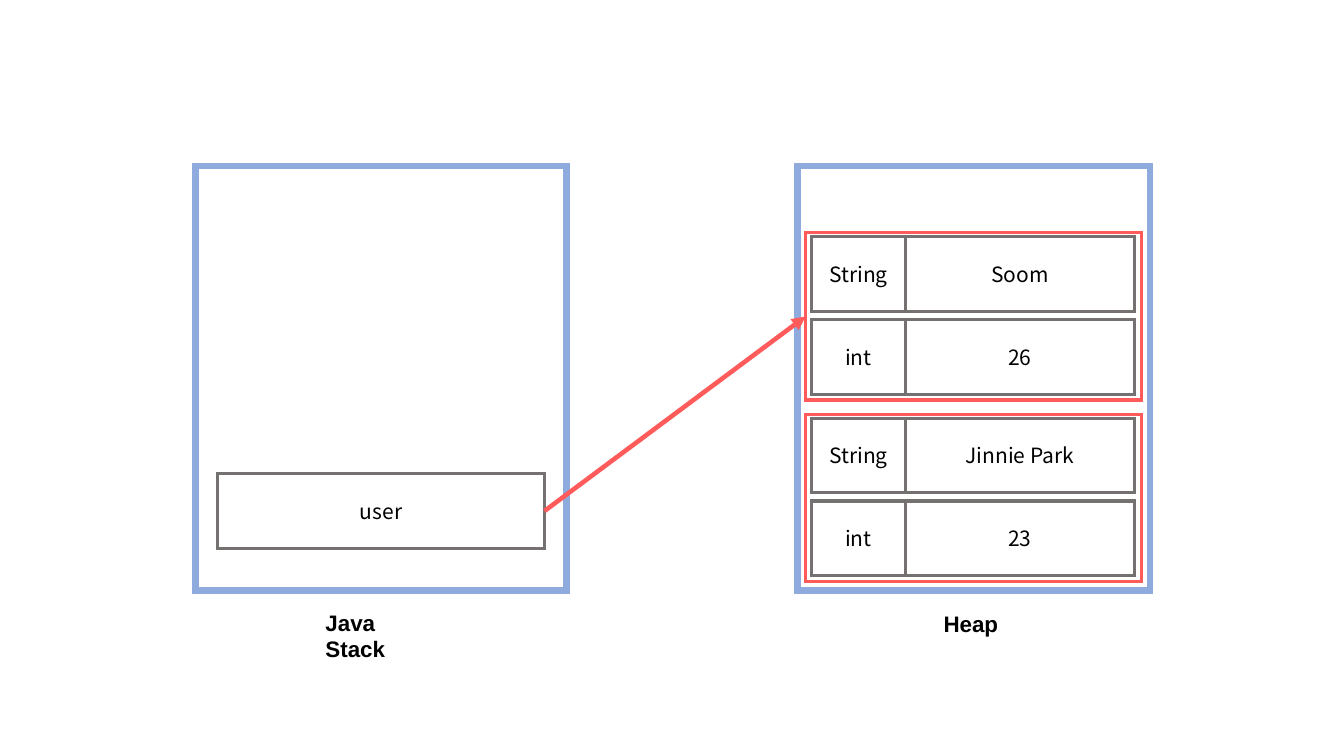
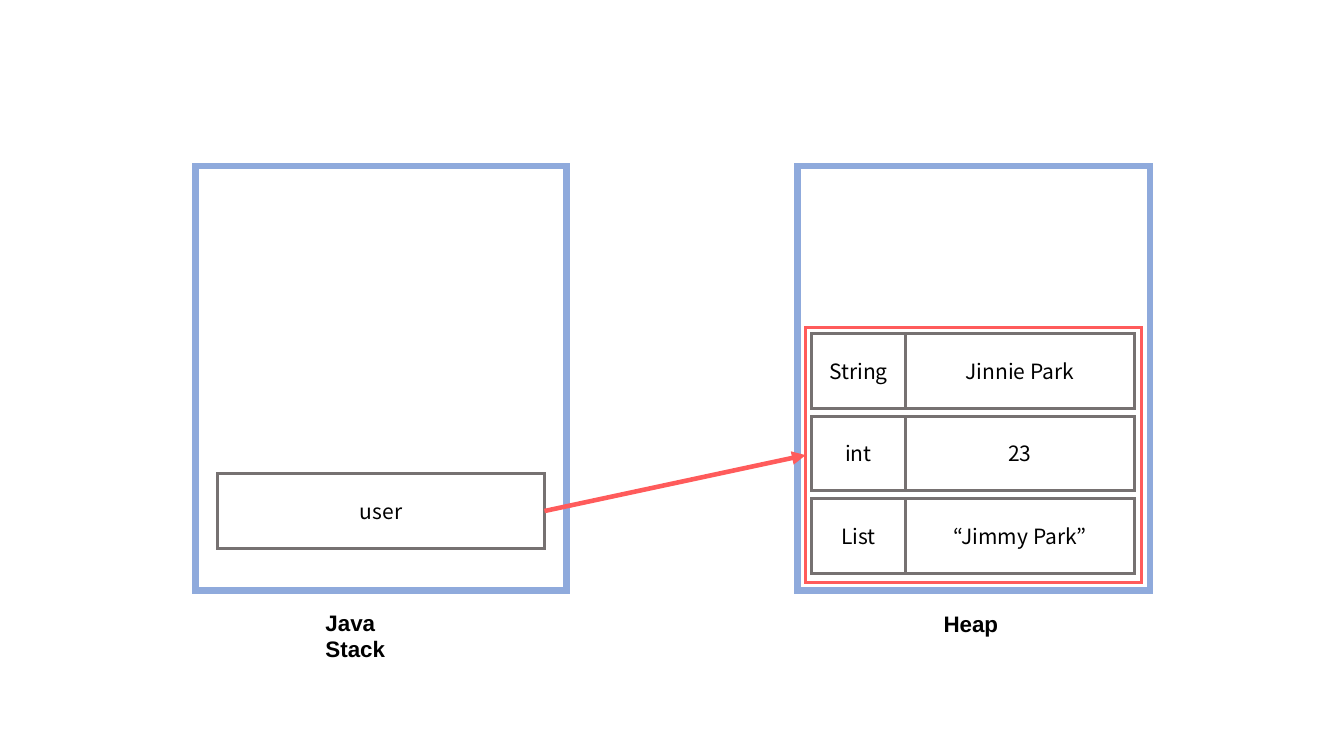
from lxml import etree
from pptx import Presentation
from pptx import util as u
from pptx.dml import color
from pptx.enum import shapes, text
from pptx.oxml import ns

BLUE, GREY, RED, BLACK = "8FAADC", "767171", "FF5B5B", "000000"
CELL_HEIGHT, ROW_STEP = 0.74, 0.82
TYPE_LEFT, TYPE_WIDTH, VALUE_WIDTH = 8.05, 0.93, 2.27
FRAME_LEFT, FRAME_WIDTH = 7.99, 3.33
USER_LEFT, USER_TOP, USER_WIDTH = 2.16, 4.7, 3.24


def rgb(value):
    return color.RGBColor.from_string(value)


class MemoryDiagram:
    """Draws stack and heap diagrams in one shared style."""

    def __init__(self, deck):
        self.deck = deck
        self.slide = None

    def start_slide(self):
        self.slide = self.deck.slides.add_slide(self.deck.slide_layouts[6])
        self.rectangle(1.94, 1.65, 3.68, 4.21, BLUE, 4.5)
        self.caption("Java Stack", 3.13, 5.99, 1.3)
        self.rectangle(7.91, 1.65, 3.5, 4.21, BLUE, 4.5)
        self.caption("Heap", 9.26, 6, 0.76)
        self.cell("user", USER_LEFT, USER_TOP, USER_WIDTH)

    def style_text(self, frame, words, font, size, bold=False):
        frame.text = words
        frame.word_wrap = True
        span = frame.paragraphs[0].runs[0]
        span.font.name = font
        span.font.size = u.Pt(size)
        span.font.bold = bold
        span.font.color.rgb = rgb(BLACK)
        properties = span.font._element
        east_asian = etree.SubElement(properties, ns.qn("a:ea"))
        east_asian.set("typeface", font)

    def rectangle(self, left, top, width, height, line_color, weight=2.25):
        box = self.slide.shapes.add_shape(
            shapes.MSO_SHAPE.RECTANGLE,
            u.Inches(left), u.Inches(top), u.Inches(width), u.Inches(height))
        box.shadow.inherit = False
        box.fill.background()
        box.line.color.rgb = rgb(line_color)
        box.line.width = u.Pt(weight)
        outline = box._element.spPr.find(ns.qn("a:ln"))
        etree.SubElement(outline, ns.qn("a:miter")).set("lim", "800000")
        return box

    def caption(self, words, left, top, width):
        box = self.slide.shapes.add_textbox(
            u.Inches(left), u.Inches(top), u.Inches(width), u.Inches(0.37))
        self.style_text(box.text_frame, words, "Arial", 16, bold=True)

    def cell(self, words, left, top, width):
        box = self.rectangle(left, top, width, CELL_HEIGHT, GREY)
        frame = box.text_frame
        self.style_text(frame, words, "Noto Sans CJK KR", 15)
        frame.vertical_anchor = text.MSO_ANCHOR.MIDDLE
        frame.paragraphs[0].alignment = text.PP_ALIGN.CENTER

    def record(self, fields, top, frame_top, frame_height):
        for index, (kind, value) in enumerate(fields):
            row_top = top + index * ROW_STEP
            self.cell(kind, TYPE_LEFT, row_top, TYPE_WIDTH)
            self.cell(value, TYPE_LEFT + TYPE_WIDTH, row_top, VALUE_WIDTH)
        self.rectangle(FRAME_LEFT, frame_top, FRAME_WIDTH, frame_height, RED)
        return frame_top + frame_height / 2

    def reference(self, target_middle):
        arrow = self.slide.shapes.add_connector(
            shapes.MSO_CONNECTOR.STRAIGHT,
            u.Inches(USER_LEFT + USER_WIDTH),
            u.Inches(USER_TOP + CELL_HEIGHT / 2),
            u.Inches(FRAME_LEFT), u.Inches(target_middle))
        arrow.line.color.rgb = rgb(RED)
        arrow.line.width = u.Pt(3.25)
        properties = arrow._element.spPr
        outline = properties.find(ns.qn("a:ln"))
        etree.SubElement(outline, ns.qn("a:tailEnd")).set("type", "triangle")
        etree.SubElement(properties, ns.qn("a:effectLst"))


def main():
    deck = Presentation()
    deck.slide_width, deck.slide_height = u.Inches(13.33), u.Inches(7.5)
    diagram = MemoryDiagram(deck)
    jinnie = [("String", "Jinnie Park"), ("int", "23")]

    diagram.start_slide()
    diagram.record(jinnie, 4.15, 4.11, 1.66)
    soom = [("String", "Soom"), ("int", "26")]
    diagram.reference(diagram.record(soom, 2.35, 2.31, 1.66))

    diagram.start_slide()
    listed = jinnie + [("List", "“Jimmy Park”")]
    diagram.reference(diagram.record(listed, 3.31, 3.25, 2.53))

    deck.save("out.pptx")


if __name__ == "__main__":
    main()
